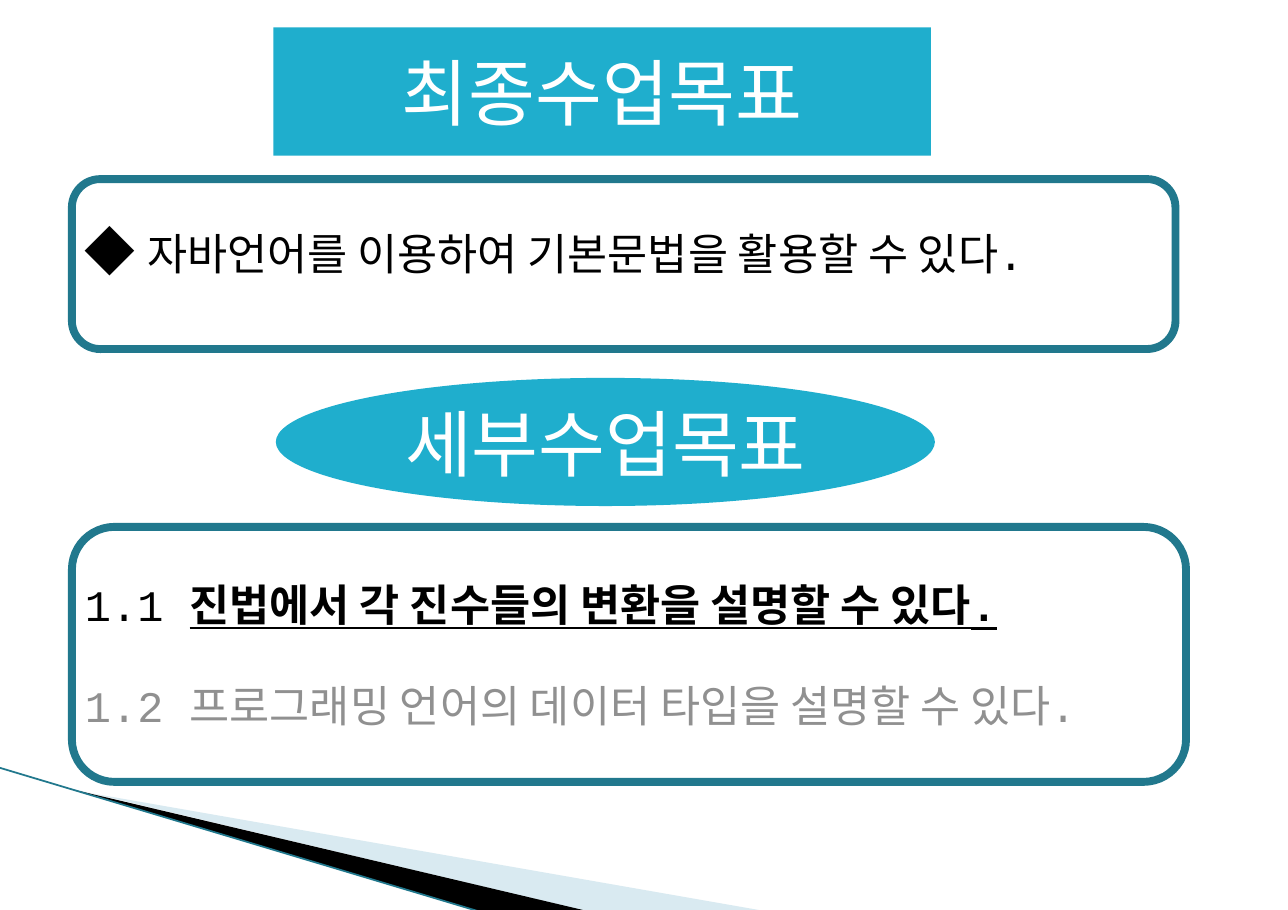
from dataclasses import dataclass

from lxml import etree
from pptx import Presentation
from pptx.dml.color import RGBColor
from pptx.enum import shapes, text
from pptx.oxml.ns import qn
from pptx.util import Inches, Pt


@dataclass(frozen=True)
class Theme:
    font: str = "Courier New"
    heading_size: int = 40
    marker_size: int = 28
    body_size: int = 24
    goal_gap: int = 27
    frame_width: float = 4.33
    edge_width: float = 0.95
    heading_fill: str = "1FAECD"
    heading_text: str = "FFFFFF"
    frame: str = "21788D"
    ink: str = "000000"
    muted: str = "909090"
    wedge: str = "A0CBDC"


def rgb(value):
    return RGBColor.from_string(value)


def add_run(paragraph, content, *, font, size, color, bold=False, underline=False):
    run = paragraph.add_run()
    run.text = content
    run.font.name = font
    run.font.size = Pt(size)
    run.font.color.rgb = rgb(color)
    run.font.bold = bold
    run.font.underline = underline


class GoalSlide:
    def __init__(self, presentation, theme):
        self.theme = theme
        self.slide = presentation.slides.add_slide(presentation.slide_layouts[4])
        self.placeholders = {
            holder.placeholder_format.idx: holder for holder in self.slide.placeholders
        }

    def place(self, index, left, top, width, height):
        """Move a placeholder to the front at the given box."""
        holder = self.placeholders.pop(index)
        holder.left, holder.top = Inches(left), Inches(top)
        holder.width, holder.height = Inches(width), Inches(height)
        self.slide.shapes._spTree.append(holder._element)
        holder.text_frame.word_wrap = True
        holder.text_frame.auto_size = text.MSO_AUTO_SIZE.NONE
        return holder

    def fill_paragraph(self, paragraph, runs, align, gap=0):
        properties = paragraph._p.get_or_add_pPr()
        properties.set("marL", "0")
        properties.set("indent", "0")
        etree.SubElement(properties, qn("a:buNone"))
        paragraph.alignment = align
        paragraph.space_before = Pt(gap)
        for content, style in runs:
            options = {"size": self.theme.body_size, "color": self.theme.ink, **style}
            add_run(paragraph, content, font=self.theme.font, **options)

    def heading(self, index, content, *box):
        holder = self.place(index, *box)
        geometry = etree.SubElement(holder._element.spPr, qn("a:prstGeom"), prst="ellipse")
        etree.SubElement(geometry, qn("a:avLst"))
        holder.fill.solid()
        holder.fill.fore_color.rgb = rgb(self.theme.heading_fill)
        holder.text_frame.vertical_anchor = text.MSO_ANCHOR.MIDDLE
        style = {"size": self.theme.heading_size, "color": self.theme.heading_text}
        self.fill_paragraph(
            holder.text_frame.paragraphs[0], [(content, style)], text.PP_ALIGN.CENTER)

    def goals(self, index, rows, *box):
        frame = self.place(index, *box).text_frame
        frame.vertical_anchor = text.MSO_ANCHOR.TOP
        for number, runs in enumerate(rows):
            paragraph = frame.add_paragraph() if number else frame.paragraphs[0]
            gap = self.theme.goal_gap if number else 0
            self.fill_paragraph(paragraph, runs, text.PP_ALIGN.LEFT, gap)

    def frame(self, *box):
        shape = self.slide.shapes.add_shape(
            shapes.MSO_SHAPE.ROUNDED_RECTANGLE, *map(Inches, box))
        shape.shadow.inherit = False
        shape.fill.background()
        shape.line.color.rgb = rgb(self.theme.frame)
        shape.line.width = Pt(self.theme.frame_width)

    def wedge(self, points, color, opacity=100):
        corners = [(Inches(x), Inches(y)) for x, y in points]
        builder = self.slide.shapes.build_freeform(*corners[0])
        builder.add_line_segments(corners[1:], close=True)
        shape = builder.convert_to_shape()
        shape.shadow.inherit = False
        shape.fill.solid()
        shape.fill.fore_color.rgb = rgb(color)
        shape.line.fill.background()
        if opacity < 100:
            tone = shape._element.spPr.find(qn("a:solidFill"))[0]
            etree.SubElement(tone, qn("a:alpha"), val=str(opacity * 1000))

    def edge(self, *ends):
        line = self.slide.shapes.add_connector(
            shapes.MSO_CONNECTOR.STRAIGHT, *map(Inches, ends))
        line.line.color.rgb = rgb(self.theme.frame)
        line.line.width = Pt(self.theme.edge_width)
        etree.SubElement(line._element.spPr, qn("a:effectLst"))

    def remove_unused(self):
        for holder in self.placeholders.values():
            holder._element.getparent().remove(holder._element)


def main():
    theme = Theme()
    presentation = Presentation()
    presentation.slide_width = Inches(9.85)
    presentation.slide_height = Inches(6.96)
    page = GoalSlide(presentation, theme)

    # Corner decoration
    page.wedge([(0.54, 6.04), (5.86, 6.97), (4.49, 6.97), (0.54, 6.03)], theme.wedge, 40)
    page.wedge([(0.52, 6.03), (4.5, 6.97), (3.66, 6.97), (0.53, 6.03)], theme.ink)
    page.edge(-0.01, 5.87, 3.66, 6.97)

    # Final goal
    page.heading(0, "최종수업목표", 2.09, 0.21, 5.03, 0.98)
    page.frame(0.55, 1.37, 8.44, 1.3)
    page.goals(2, [
        [("◆ ", {"size": theme.marker_size}),
         ("자바언어를 이용하여 기본문법을 활용할 수 있다.", {})],
    ], 0.55, 1.63, 8.44, 0.57)

    # Detailed goals
    page.heading(3, "세부수업목표", 2.11, 2.89, 5.04, 0.98)
    page.frame(0.55, 4.03, 8.52, 1.95)
    page.goals(4, [
        [("1.1 ", {}),
         ("진법에서 각 진수들의 변환을 설명할 수 있다.", {"bold": True, "underline": True})],
        [("1.2 프로그래밍 언어의 데이터 타입을 설명할 수 있다.", {"color": theme.muted})],
    ], 0.55, 4.37, 8.44, 1.31)

    page.remove_unused()
    presentation.save("out.pptx")


if __name__ == "__main__":
    main()
